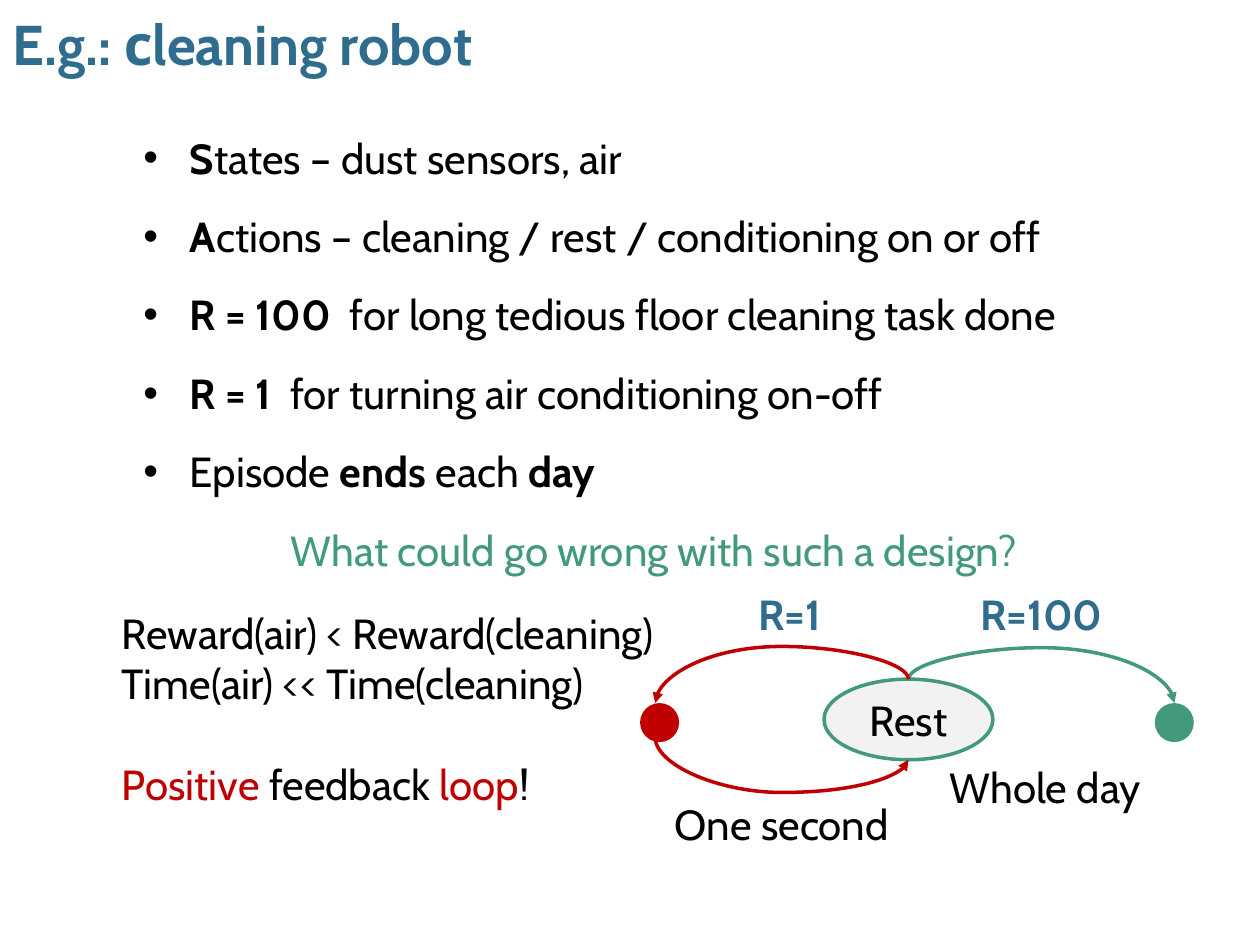
from lxml import etree
from pptx import Presentation
from pptx import util as u
from pptx.dml.color import RGBColor
from pptx.enum import shapes, text
from pptx.oxml.ns import qn

COLORS = {"ink": "000000", "blue": "306C8D", "green": "42997E",
          "red": "C00000", "pale": "F2F2F2"}
CELL = 0.1  # the grid has 100 columns and 75 rows of 0.1 inch
COLS, ROWS = 100, 75
LEFT, CENTER = text.PP_ALIGN.LEFT, text.PP_ALIGN.CENTER
TOP, MIDDLE = text.MSO_ANCHOR.TOP, text.MSO_ANCHOR.MIDDLE


def cells(count):
    return u.Inches(count * CELL)


def color(name):
    return RGBColor.from_string(COLORS[name])


class SlideBuilder:
    """Holds the text style and the slide; places are in grid cells."""

    font, size = "Cabin", 24

    def __init__(self, deck):
        self.slide = deck.slides.add_slide(deck.slide_layouts[6])

    def runs(self, paragraph, pieces, size=None):
        """Add (words, colour, bold) pieces to a paragraph."""
        for words, tint, bold in pieces:
            run = paragraph.add_run()
            run.text = words
            run.font.name = self.font
            run.font.size = u.Pt(size or self.size)
            run.font.bold = bold
            run.font.color.rgb = color(tint)

    def frame(self, shape, anchor, pad):
        frame = shape.text_frame
        frame.word_wrap = True
        frame.vertical_anchor = anchor
        frame.margin_left = frame.margin_right = cells(1)
        frame.margin_top = frame.margin_bottom = cells(pad)
        return frame

    def text(self, place, lines, align=LEFT, anchor=TOP, pad=0.5, size=None):
        """Write one paragraph per line and return the paragraphs."""
        box = self.slide.shapes.add_textbox(*map(cells, place))
        frame = self.frame(box, anchor, pad)
        for index, pieces in enumerate(lines):
            paragraph = frame.add_paragraph() if index else frame.paragraphs[0]
            paragraph.alignment = align
            self.runs(paragraph, pieces, size)
        return frame.paragraphs

    def label(self, place, words, tint="ink", bold=False):
        self.text(place, [[(words, tint, bold)]], CENTER, pad=1)

    def indent(self, paragraph, margin, hanging=0, bullet=None):
        props = paragraph._p.get_or_add_pPr()
        props.set("marL", str(cells(margin)))
        props.set("indent", str(-cells(hanging)))
        if bullet:
            tint = etree.SubElement(props, qn("a:buClr"))
            etree.SubElement(tint, qn("a:srgbClr"), val=COLORS["ink"])
            etree.SubElement(props, qn("a:buFont"), typeface="Arial")
            etree.SubElement(props, qn("a:buChar"), char=bullet)
        paragraph.space_after = u.Pt(16)

    def ellipse(self, place, fill, line=None, words=None):
        oval = self.slide.shapes.add_shape(shapes.MSO_SHAPE.OVAL, *map(cells, place))
        oval.shadow.inherit = False
        oval.fill.solid()
        oval.fill.fore_color.rgb = color(fill)
        if line:
            oval.line.color.rgb = color(line)
            oval.line.width = u.Pt(2)
        else:
            oval.line.fill.background()
        if words:
            paragraph = self.frame(oval, MIDDLE, 1).paragraphs[0]
            paragraph.alignment = CENTER
            self.runs(paragraph, [(words, "ink", False)])

    def arc(self, start, end, bulge, tint, arrow):
        """Curve that leaves and enters vertically, bulging past its start."""
        (x1, y1), (x2, y2) = start, end
        width, height = abs(y2 - y1), abs(x2 - x1)  # frame before rotation
        curve = self.slide.shapes.add_connector(
            shapes.MSO_CONNECTOR.CURVE, 0, 0, cells(width), cells(height))
        curve.left = cells((x1 + x2 - width) / 2)
        curve.top = cells((y1 + y2 - height) / 2)
        leftward, downward = x2 < x1, y2 > y1
        props = curve._element.spPr
        props.xfrm.set("rot", str((90 if leftward else 270) * 60000))
        if leftward != downward:
            props.xfrm.set("flipH", "1")
        guides = props.find(qn("a:prstGeom")).get_or_add_avLst()
        etree.SubElement(guides, qn("a:gd"), name="adj1",
                         fmla=f"val {round(-bulge / width * 100000)}")
        curve.line.color.rgb = color(tint)
        curve.line.width = u.Pt(2)
        etree.SubElement(curve.line._get_or_add_ln(), qn(f"a:{arrow}"), type="triangle")
        etree.SubElement(props, qn("a:effectLst"))


def main():
    deck = Presentation()
    deck.slide_width, deck.slide_height = cells(COLS), cells(ROWS)
    page = SlideBuilder(deck)

    page.text((0, 0, COLS, 6.8), [[("E.g.: сleaning robot", "blue", True)]],
              anchor=MIDDLE, size=32)

    design = [
        [("S", "ink", True), ("tates – dust sensors, air", "ink", False)],
        [("A", "ink", True),
         ("ctions – cleaning / rest / conditioning on or off", "ink", False)],
        [("R = 100", "ink", True),
         ("  for long tedious floor cleaning task done", "ink", False)],
        [("R = 1 ", "ink", True),
         (" for turning air conditioning on-off", "ink", False)],
        [("Episode", "ink", False), (" ends ", "ink", True),
         ("each ", "ink", False), ("day", "ink", True)],
        [("What could go wrong with such a design?", "green", False)],
    ]
    *bullets, question = page.text((9.1, 10, 84.3, 56.5), design)
    for bullet in bullets:
        page.indent(bullet, 5, 3.7, "•")
    page.indent(question, 1.3)
    question.alignment = CENTER

    reasons = page.text((8.7, 47.7, 50, 21), [
        [("Reward(air) < Reward(cleaning)", "ink", False)],
        [("Time(air) << Time(cleaning)", "ink", False)],
        [("Positive", "red", False), (" feedback ", "ink", False),
         ("loop", "red", False), ("!", "ink", False)],
    ])
    reasons[-1].space_before = u.Pt(29)

    rest_x, rest_top, rest_bottom = 72.1, 53.9, 60.3
    air_x, clean_x = 52, 93.2
    dot, dot_top = 3.1, 55.8
    page.ellipse((clean_x - dot / 2, dot_top, dot, dot), "green")
    page.ellipse((rest_x - 6.7, rest_top, 13.4, rest_bottom - rest_top),
                 "pale", "green", "Rest")
    page.arc((rest_x, rest_top), (clean_x, dot_top), 2.5, "green", "tailEnd")
    page.arc((rest_x, rest_top), (air_x, dot_top), 2.6, "red", "tailEnd")
    page.arc((rest_x, rest_bottom), (air_x, 58.5), 2.6, "red", "headEnd")
    for left, reward in ((56.7, "R=1"), (76.7, "R=100")):
        page.label((left, 45.7, 11.9, 5.8), reward, "blue", True)
    page.label((72.5, 59.4, 20.9, 5.8), "Whole day")
    page.label((50.8, 62.4, 22.5, 5.8), "One second")
    page.ellipse((50.8, dot_top, dot, dot), "red")

    deck.save("out.pptx")


if __name__ == "__main__":
    main()
